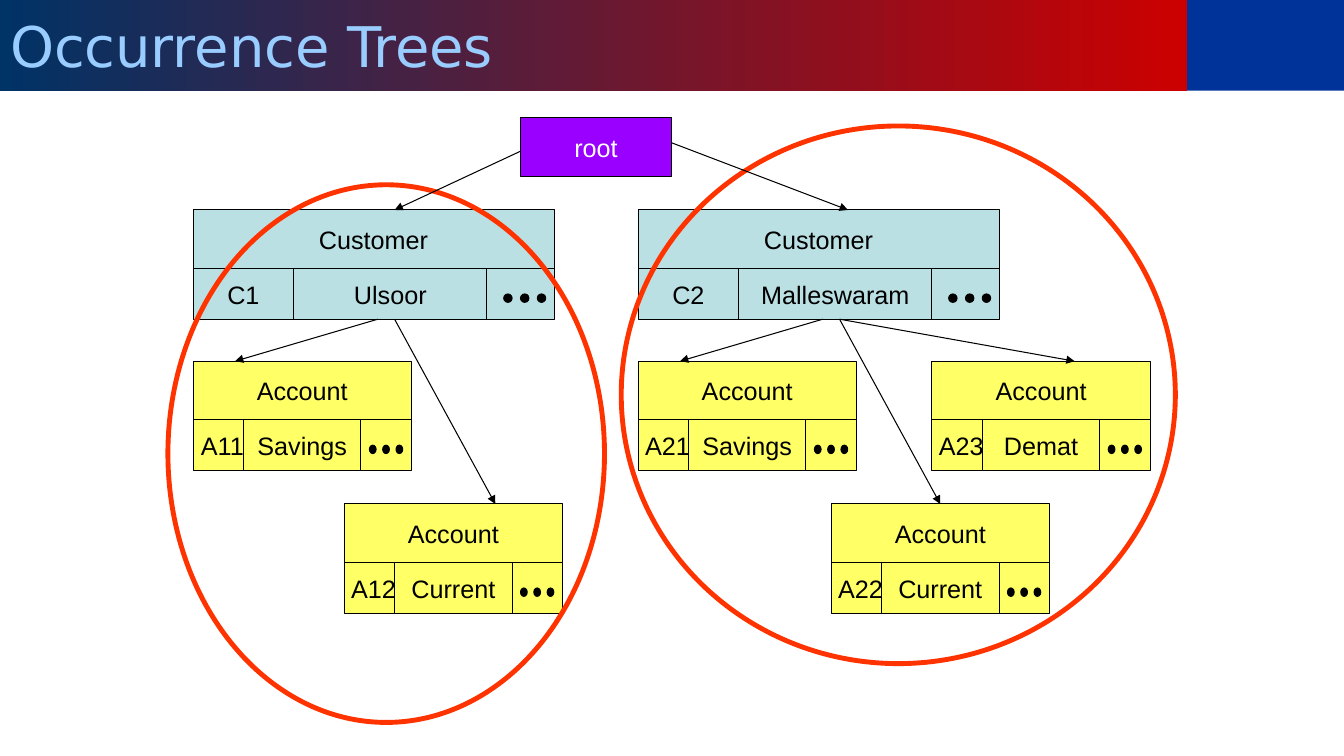
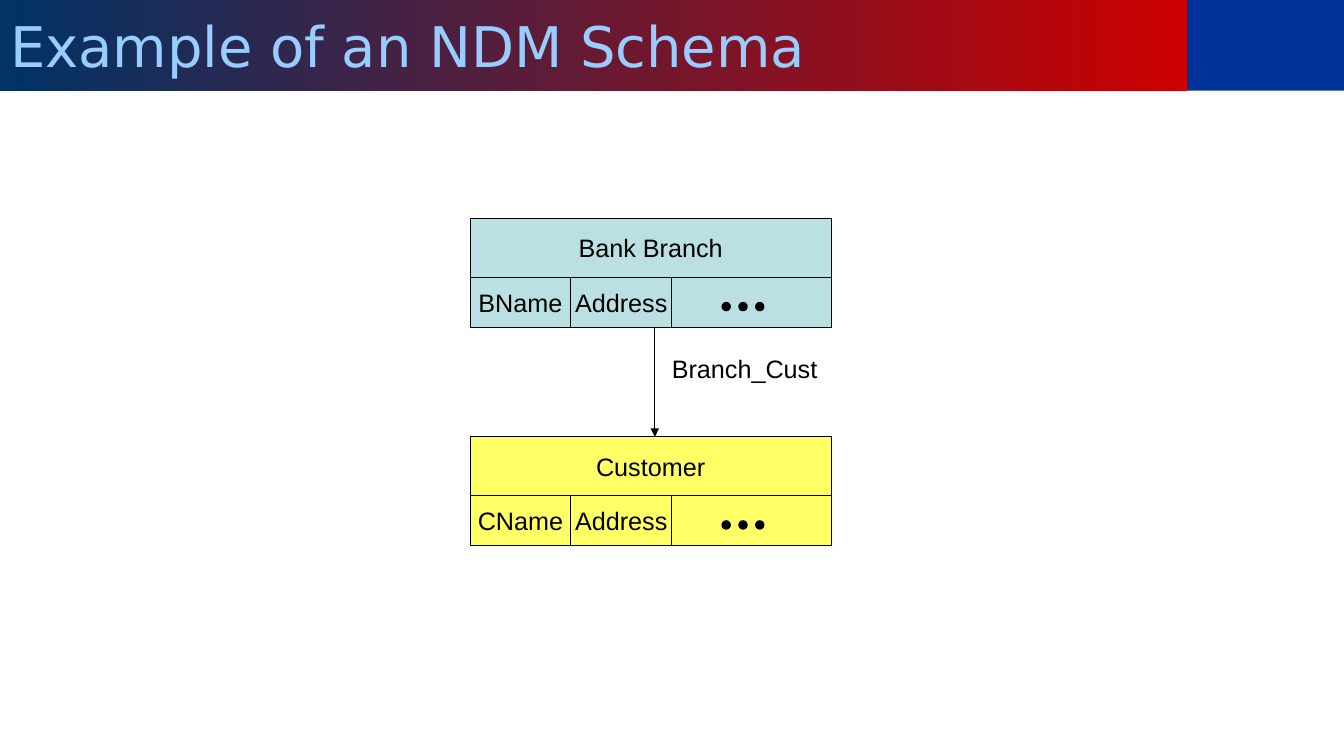
from dataclasses import dataclass

from lxml import etree
from pptx import Presentation
from pptx.dml.color import RGBColor
from pptx.enum.shapes import MSO_CONNECTOR, MSO_SHAPE
from pptx.enum.text import MSO_ANCHOR, MSO_AUTO_SIZE, PP_ALIGN
from pptx.oxml.ns import qn
from pptx.shapes.autoshape import Shape
from pptx.slide import Slide, SlideLayout
from pptx.text.text import TextFrame
from pptx.util import Pt

RECTANGLE, OVAL = MSO_SHAPE.RECTANGLE, MSO_SHAPE.OVAL
STRAIGHT = MSO_CONNECTOR.STRAIGHT
LEFT, CENTER = PP_ALIGN.LEFT, PP_ALIGN.CENTER
MIDDLE, TOP = MSO_ANCHOR.MIDDLE, MSO_ANCHOR.TOP
NO_AUTOFIT = MSO_AUTO_SIZE.NONE
TITLE_ONLY_LAYOUT = 5

SLIDE_WIDTH, SLIDE_HEIGHT = 960.48, 540
TITLE_WIDTH, TITLE_HEIGHT = 848.16, 64.8
HEADER_HEIGHT, FIELD_HEIGHT = 42, 36
DOT_HEIGHT, DOT_COUNT, DOT_OFFSET = 6, 3, 60


@dataclass(frozen=True)
class Theme:
    navy: RGBColor = RGBColor(0x00, 0x33, 0x66)
    red: RGBColor = RGBColor(0xCC, 0x00, 0x00)
    blue: RGBColor = RGBColor(0x00, 0x33, 0x99)
    sky: RGBColor = RGBColor(0x99, 0xCC, 0xFF)
    parent: RGBColor = RGBColor(0xBB, 0xE0, 0xE3)
    child: RGBColor = RGBColor(0xFF, 0xFF, 0x66)
    root: RGBColor = RGBColor(0x99, 0x00, 0xFF)
    ring: RGBColor = RGBColor(0xFF, 0x33, 0x00)
    black: RGBColor = RGBColor(0x00, 0x00, 0x00)
    white: RGBColor = RGBColor(0xFF, 0xFF, 0xFF)
    title_font: str = "DejaVu Sans"
    body_font: str = "Arial"
    title_size: float = 40
    body_size: float = 18
    line_width: float = 0.75
    ring_width: float = 3.5


THEME = Theme()


@dataclass(frozen=True)
class Box:
    left: float
    top: float
    width: float
    height: float

    def lengths(self) -> tuple[Pt, Pt, Pt, Pt]:
        return Pt(self.left), Pt(self.top), Pt(self.width), Pt(self.height)


@dataclass(frozen=True)
class RecordStyle:
    """Colour and horizontal offsets of the parts of a record."""
    fill: RGBColor
    width: float
    key_width: float
    value_left: float
    value_width: float
    more_left: float
    dot_left: float
    dot_width: float
    dot_pitch: float


@dataclass(frozen=True)
class Record:
    style: RecordStyle
    left: float
    top: float
    name: str
    key: str
    value: str


@dataclass(frozen=True)
class Arrow:
    start: tuple[float, float]
    end: tuple[float, float]


CUSTOMER = RecordStyle(THEME.parent, 258, 72, 72, 138, 210, 222, 6, 12)
ACCOUNT = RecordStyle(THEME.child, 156, 42, 36, 84, 118, 126, 4.8, 9.5)
OWNER_TYPE = RecordStyle(THEME.parent, 258, 72, 72, 72, 144, 180, 6, 12)
MEMBER_TYPE = RecordStyle(THEME.child, 258, 72, 72, 72, 144, 180, 6, 12)

TREE_RECORDS = (
    Record(CUSTOMER, 138, 150, "Customer", "C1", "Ulsoor"),
    Record(ACCOUNT, 138, 258, "Account", "A11", "Savings"),
    Record(ACCOUNT, 246, 360, "Account", "A12", "Current"),
    Record(CUSTOMER, 456, 150, "Customer", "C2", "Malleswaram"),
    Record(ACCOUNT, 456, 258, "Account", "A21", "Savings"),
    Record(ACCOUNT, 594, 360, "Account", "A22", "Current"),
    Record(ACCOUNT, 666, 258, "Account", "A23", "Demat"),
)
TREE_ARROWS = (
    Arrow((270, 228), (168, 258)),
    Arrow((282, 228), (354, 360)),
    Arrow((588, 228), (486, 258)),
    Arrow((600, 228), (672, 360)),
    Arrow((600, 228), (768, 258)),
)
TREE_RINGS = (Box(120, 132, 312, 384), Box(444, 90, 396, 384))
ROOT = Box(372, 84, 108, 42)
ROOT_ARROWS = (Arrow((372, 108), (282, 150)), Arrow((480, 102), (606, 150)))

SCHEMA_RECORDS = (
    Record(OWNER_TYPE, 336, 156, "Bank Branch", "BName", "Address"),
    Record(MEMBER_TYPE, 336, 312, "Customer", "CName", "Address"),
)
SCHEMA_ARROW = Arrow((468, 234), (468, 312))
SET_LABEL = Box(473, 249, 118, 29)


def write_text(frame: TextFrame, text: str, color: RGBColor, font: str, size: float,
               alignment: PP_ALIGN, anchor: MSO_ANCHOR) -> None:
    frame.word_wrap = False
    frame.auto_size = NO_AUTOFIT
    frame.vertical_anchor = anchor
    paragraph = frame.paragraphs[0]
    paragraph.alignment = alignment
    run = paragraph.add_run()
    run.text = text
    run.font.name = font
    run.font.size = Pt(size)
    run.font.color.rgb = color


def style_shape(shape: Shape, fill: RGBColor | None, line: RGBColor | None,
                line_width: float = THEME.line_width) -> None:
    shape.shadow.inherit = False
    if fill is None:
        shape.fill.background()
    else:
        shape.fill.solid()
        shape.fill.fore_color.rgb = fill
    if line is None:
        shape.line.fill.background()
    else:
        shape.line.color.rgb = line
        shape.line.width = Pt(line_width)


def add_cell(slide: Slide, box: Box, fill: RGBColor, text: str = "",
             color: RGBColor = THEME.black) -> None:
    shape = slide.shapes.add_shape(RECTANGLE, *box.lengths())
    style_shape(shape, fill, THEME.black)
    if text:
        write_text(shape.text_frame, text, color, THEME.body_font, THEME.body_size,
                   CENTER, MIDDLE)


def add_record(slide: Slide, record: Record) -> None:
    style, left, top = record.style, record.left, record.top
    field_top = top + HEADER_HEIGHT
    more_width = style.width - style.more_left
    cells = (
        (Box(left + style.more_left, field_top, more_width, FIELD_HEIGHT), ""),
        (Box(left, top, style.width, HEADER_HEIGHT), record.name),
        (Box(left, field_top, style.key_width, FIELD_HEIGHT), record.key),
        (Box(left + style.value_left, field_top, style.value_width, FIELD_HEIGHT),
         record.value),
    )
    for box, text in cells:
        add_cell(slide, box, style.fill, text)
    dots = slide.shapes.add_group_shape()
    for index in range(DOT_COUNT):
        dot_left = left + style.dot_left + index * style.dot_pitch
        box = Box(dot_left, top + DOT_OFFSET, style.dot_width, DOT_HEIGHT)
        dot = dots.shapes.add_shape(OVAL, *box.lengths())
        style_shape(dot, THEME.black, THEME.black)


def add_arrow(slide: Slide, arrow: Arrow) -> None:
    points = (Pt(value) for value in arrow.start + arrow.end)
    connector = slide.shapes.add_connector(STRAIGHT, *points)
    connector.line.color.rgb = THEME.black
    connector.line.width = Pt(THEME.line_width)
    properties = connector.element.spPr
    tail = etree.SubElement(properties.find(qn("a:ln")), qn("a:tailEnd"))
    tail.set("type", "triangle")
    etree.SubElement(properties, qn("a:effectLst"))


def add_titled_slide(presentation: Presentation, layout: SlideLayout, text: str) -> Slide:
    slide = presentation.slides.add_slide(layout)
    title = slide.shapes.title
    box = Box(0, 0, TITLE_WIDTH, TITLE_HEIGHT)
    title.left, title.top, title.width, title.height = box.lengths()
    title.fill.gradient()
    title.fill.gradient_angle = 0
    for stop, color in zip(title.fill.gradient_stops, (THEME.navy, THEME.red)):
        stop.color.rgb = color
    write_text(title.text_frame, text, THEME.sky, THEME.title_font, THEME.title_size,
               LEFT, MIDDLE)
    return slide


def move_band_to_layout(slide: Slide, layout: SlideLayout) -> None:
    """Build the corner band and hand it to the layout, so every slide shows it."""
    box = Box(TITLE_WIDTH, 0, SLIDE_WIDTH - TITLE_WIDTH, TITLE_HEIGHT)
    band = slide.shapes.add_shape(RECTANGLE, *box.lengths())
    style_shape(band, THEME.blue, None)
    layout.shapes.element.append(band.element)


def draw_occurrence_trees(slide: Slide) -> None:
    for record in TREE_RECORDS:
        add_record(slide, record)
    for arrow in TREE_ARROWS:
        add_arrow(slide, arrow)
    for box in TREE_RINGS:
        ring = slide.shapes.add_shape(OVAL, *box.lengths())
        style_shape(ring, None, THEME.ring, THEME.ring_width)
    add_cell(slide, ROOT, THEME.root, "root", THEME.white)
    for arrow in ROOT_ARROWS:
        add_arrow(slide, arrow)


def draw_schema(slide: Slide) -> None:
    for record in SCHEMA_RECORDS:
        add_record(slide, record)
    add_arrow(slide, SCHEMA_ARROW)
    label = slide.shapes.add_textbox(*SET_LABEL.lengths())
    write_text(label.text_frame, "Branch_Cust", THEME.black, THEME.body_font,
               THEME.body_size, LEFT, TOP)


def main() -> None:
    presentation = Presentation()
    presentation.slide_width = Pt(SLIDE_WIDTH)
    presentation.slide_height = Pt(SLIDE_HEIGHT)
    layout = presentation.slide_layouts[TITLE_ONLY_LAYOUT]

    trees = add_titled_slide(presentation, layout, "Occurrence Trees")
    move_band_to_layout(trees, layout)
    draw_occurrence_trees(trees)

    schema = add_titled_slide(presentation, layout, "Example of an NDM Schema")
    draw_schema(schema)

    presentation.save("out.pptx")


if __name__ == "__main__":
    main()
